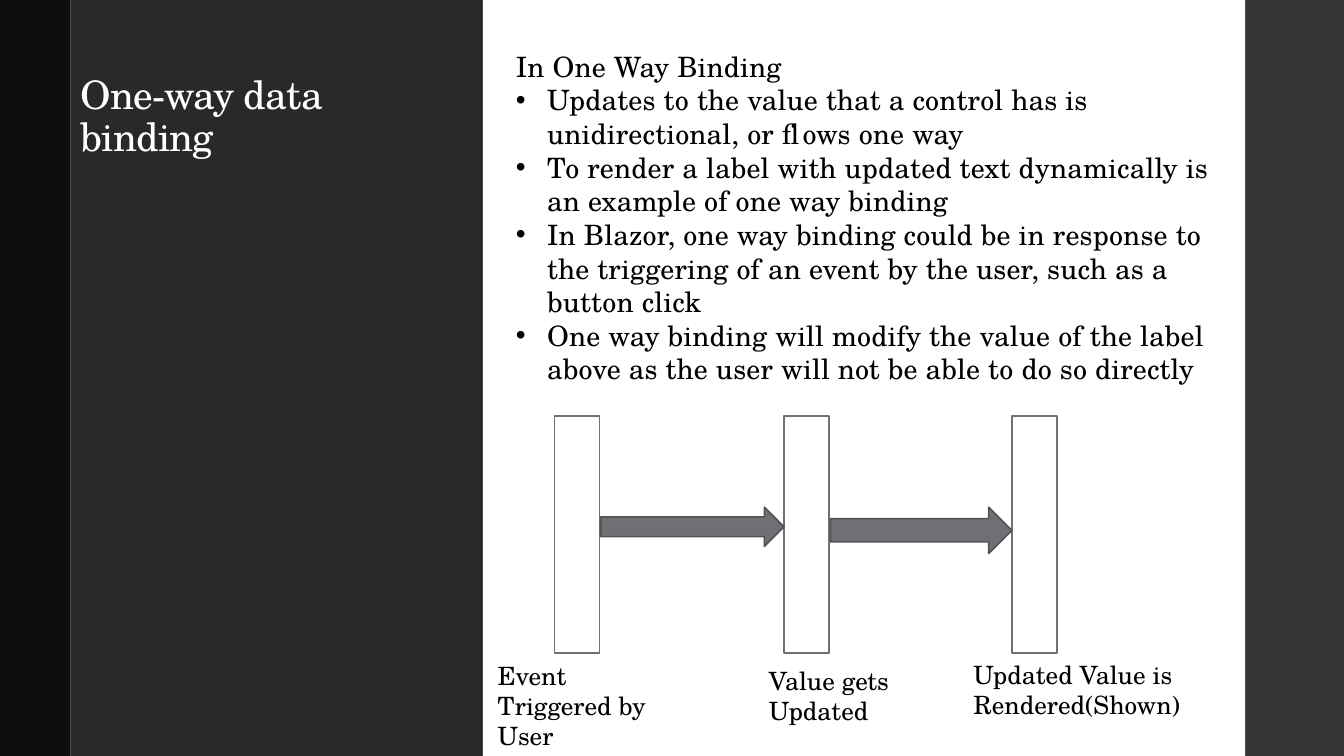
from pptx import Presentation
from pptx.dml.color import RGBColor
from pptx.enum import shapes, text
from pptx.oxml.ns import qn
from pptx.util import Cm, Pt
from lxml import etree

FONT = "TeX Gyre Schola"
COLORS = {"edge": "353537", "black": "0D0D0D", "dark": "292929", "white": "FFFFFF",
          "ink": "000000", "gray": "6F6F74", "arrow_line": "525256"}
SLIDE_W, SLIDE_H = 33.87, 19.05

PANELS = [("edge", 31.38, 2.49), ("black", 0, 1.78),
          ("dark", 1.78, 10.39), ("white", 12.17, 19.21)]
TITLE = "One-way data binding"
HEADING = "In One Way Binding"
BULLETS = [
    "Updates to the value that a control has is unidirectional, or flows one way",
    "To render a label with updated text dynamically is an example of one way binding",
    "In Blazor, one way binding could be in response to the triggering of an event "
    "by the user, such as a button click",
    "One way binding will modify the value of the label above as the user will not "
    "be able to do so directly",
]
BAR_LEFTS = [13.97, 19.76, 25.5]
BAR_TOP, BAR_W, BAR_H = 10.49, 1.14, 5.97
ARROW_TOP, ARROW_HEIGHTS = 12.78, [0.99, 1.17]
LABELS = [("Event Triggered by User", 12.29, 16.51, 5.08),
          ("Value gets Updated", 19.13, 16.64, 5.08),
          ("Updated Value is Rendered(Shown)", 24.28, 16.48, 5.97)]
LABEL_H = 1.8
INDENT = 0.79


def rgb(name):
    return RGBColor.from_string(COLORS[name])


def add_block(s, kind, box, fill, line=None):
    sp = s.shapes.add_shape(kind, *map(Cm, box))
    sp.shadow.inherit = False
    sp.fill.solid()
    sp.fill.fore_color.rgb = rgb(fill)
    if line:
        sp.line.color.rgb = rgb(line)
        sp.line.width = Pt(1.1)
    else:
        sp.line.fill.background()


def add_text(s, box, lines, size, color="ink", spacing=0):
    tf = s.shapes.add_textbox(*map(Cm, box)).text_frame
    tf.word_wrap = True
    tf.vertical_anchor = text.MSO_ANCHOR.TOP
    tf.text = "\n".join(lines)
    for p in tf.paragraphs:
        for r in p.runs:
            r.font.name = FONT
            r.font.size = Pt(size)
            r.font.color.rgb = rgb(color)
            r.font._element.set("spc", str(spacing))
    return tf


def add_bullet(p):
    pPr = p._p.get_or_add_pPr()
    pPr.set("marL", str(Cm(INDENT)))
    pPr.set("indent", str(-Cm(INDENT)))
    etree.SubElement(pPr, qn("a:buFont")).set("typeface", "Arial")
    etree.SubElement(pPr, qn("a:buChar")).set("char", "•")


def main():
    prs = Presentation()
    prs.slide_width, prs.slide_height = Cm(SLIDE_W), Cm(SLIDE_H)
    s = prs.slides.add_slide(prs.slide_layouts[6])
    rect = shapes.MSO_SHAPE.RECTANGLE

    for fill, left, width in PANELS:
        add_block(s, rect, (left, 0, width, SLIDE_H), fill)

    title = add_text(s, (1.78, 1.78, 9.88, 15.37), [TITLE], 28, "white", -50)
    title.paragraphs[0].line_spacing = 0.9

    body = add_text(s, (12.75, 1.12, 18.62, 9.83), [HEADING] + BULLETS, 20, spacing=10)
    for p in body.paragraphs[1:]:
        add_bullet(p)

    for left in BAR_LEFTS:
        add_block(s, rect, (left, BAR_TOP, BAR_W, BAR_H), "white", "gray")
    for start, end, height in zip(BAR_LEFTS, BAR_LEFTS[1:], ARROW_HEIGHTS):
        left = start + BAR_W + 0.03
        add_block(s, shapes.MSO_SHAPE.RIGHT_ARROW,
                  (left, ARROW_TOP, end - left, height), "gray", "arrow_line")

    for label, left, top, width in LABELS:
        add_text(s, (left, top, width, LABEL_H), [label], 18)

    prs.save("out.pptx")


if __name__ == "__main__":
    main()
